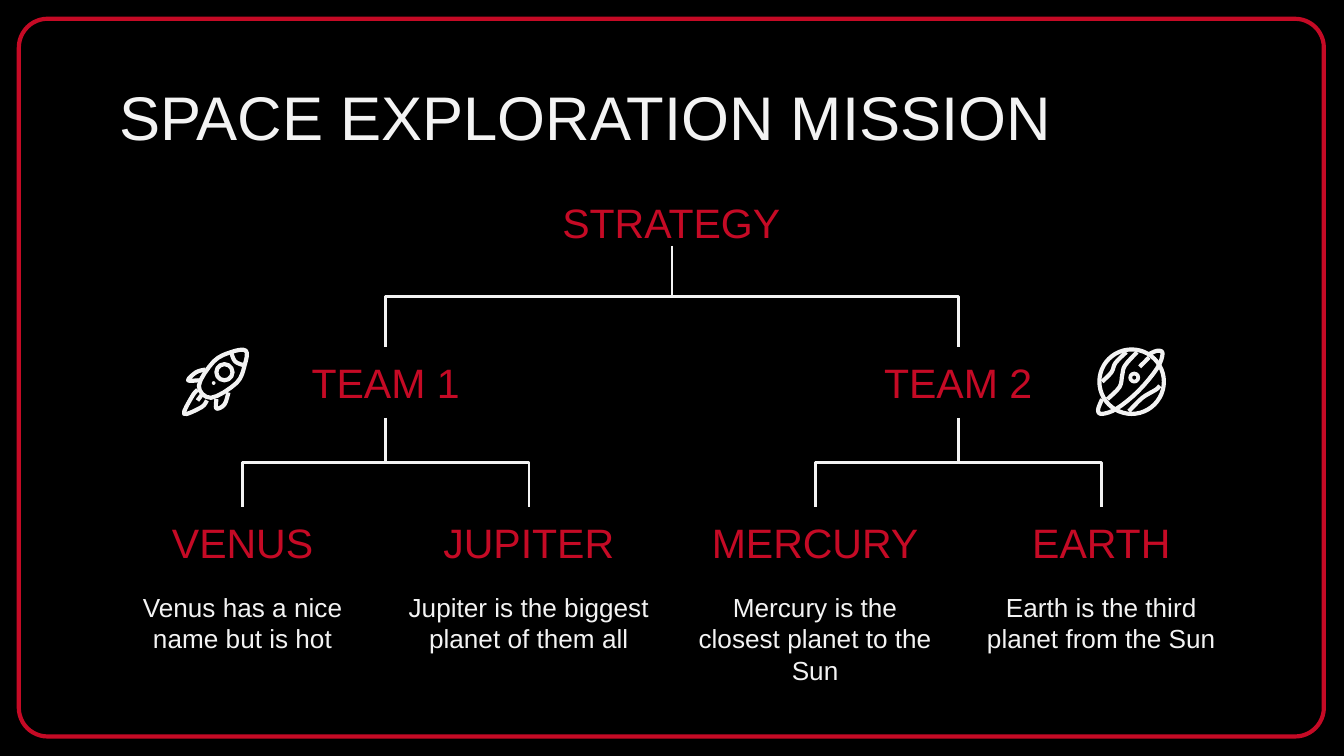
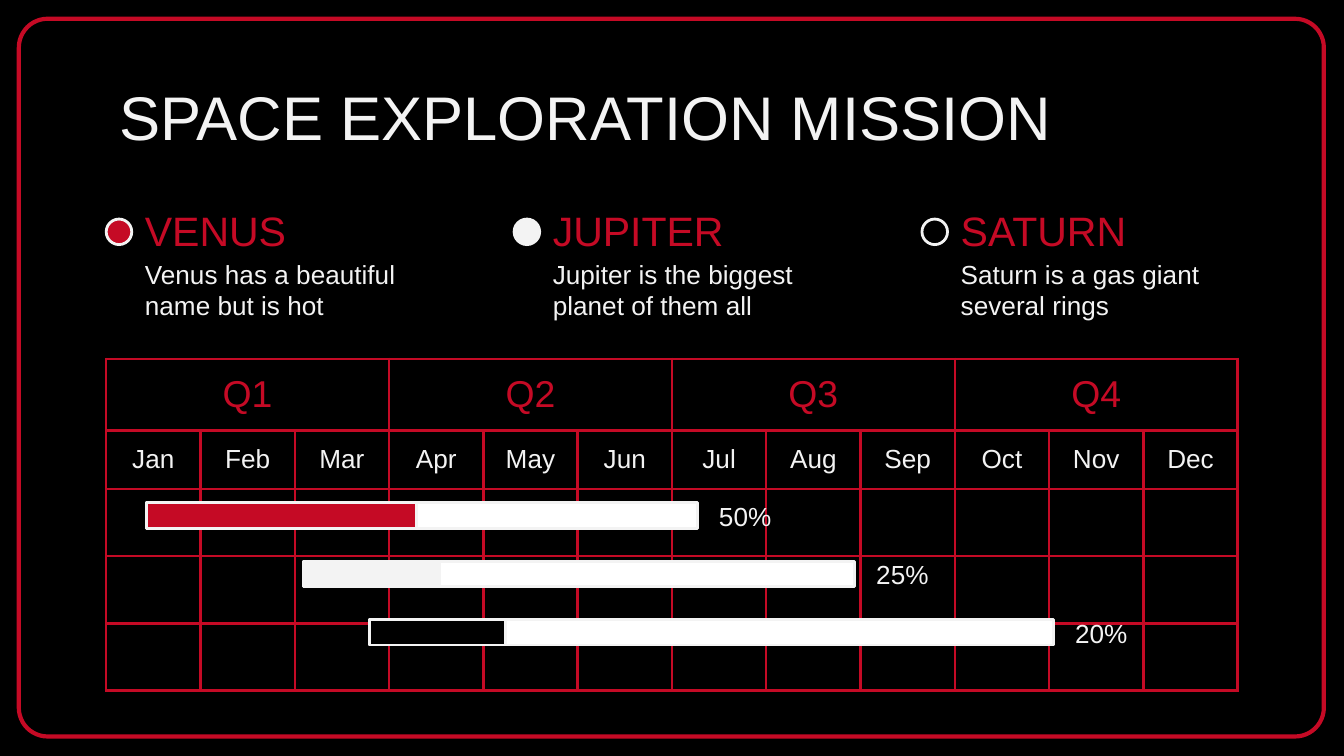
"""Build two slides about a space exploration mission."""
import pptx
import pptx.dml.color
import pptx.enum.shapes
import pptx.enum.text
import pptx.oxml
import pptx.oxml.ns
import pptx.util

Inches = pptx.util.Inches
Pt = pptx.util.Pt
RGBColor = pptx.dml.color.RGBColor
SHAPE = pptx.enum.shapes.MSO_SHAPE
CONNECTOR = pptx.enum.shapes.MSO_CONNECTOR
ALIGN = pptx.enum.text.PP_ALIGN
ANCHOR = pptx.enum.text.MSO_ANCHOR

BLACK = RGBColor(0x00, 0x00, 0x00)
WHITE = RGBColor(0xFF, 0xFF, 0xFF)
LIGHT = RGBColor(0xF3, 0xF3, 0xF3)
RED = RGBColor(0xC5, 0x0A, 0x25)
FONT = "Arial"
TITLE = "SPACE EXPLORATION MISSION"
LEFT = 0.79
HEADING_SIZE = 22
BODY_SIZE = 14
BOX_WIDTH = 2.03
BOX_HEIGHT = 0.53
TEAM_TOP = 2.58
PLANET_TOP = 3.77

PLANETS = [
    ("VENUS", "Venus has a nice name but is hot"),
    ("JUPITER", "Jupiter is the biggest planet of them all"),
    ("MERCURY", "Mercury is the closest planet to the Sun"),
    ("EARTH", "Earth is the third planet from the Sun"),
]
LEGEND = [
    ("VENUS", "Venus has a beautiful name but is hot", RED),
    ("JUPITER", "Jupiter is the biggest planet of them all", LIGHT),
    ("SATURN", "Saturn is a gas giant several rings", BLACK),
]
BARS = [
    (1.09, 4.1, 2.01, RED, "50%"),
    (2.26, 4.1, 1.01, LIGHT, "25%"),
    (2.75, 5.09, 1.01, BLACK, "20%"),
]
MONTHS = ["Jan", "Feb", "Mar", "Apr", "May", "Jun",
          "Jul", "Aug", "Sep", "Oct", "Nov", "Dec"]
ROW_HEIGHTS = [0.36, 0.3, 0.31, 0.31, 0.31]

ROCKET_BODY = [(1.83, 2.61), (1.72, 2.62), (1.59, 2.69), (1.48, 2.87),
               (1.57, 2.96), (1.76, 2.85), (1.82, 2.72)]
ROCKET_CURVES = [
    [(1.72, 2.62), (1.75, 2.69), (1.82, 2.72)],
    [(1.53, 2.75), (1.46, 2.77), (1.4, 2.83), (1.48, 2.83)],
    [(1.61, 2.97), (1.61, 3.04), (1.67, 3.01), (1.7, 2.92)],
    [(1.47, 2.9), (1.43, 2.95), (1.37, 3.08), (1.5, 3.03), (1.54, 2.98)],
    [(1.5, 2.94), (1.47, 2.98)],
]
PLANET_CURVES = [
    [(8.38, 2.62), (8.3, 2.7), (8.27, 2.77), (8.2, 2.84)],
    [(8.46, 2.62), (8.37, 2.72), (8.35, 2.79), (8.33, 2.88), (8.24, 2.97)],
    [(8.55, 2.66), (8.48, 2.73)],
    [(8.63, 2.87), (8.6, 2.9), (8.5, 2.96), (8.4, 3.06)],
    [(8.54, 2.64), (8.61, 2.61), (8.65, 2.63), (8.61, 2.74), (8.47, 2.91),
     (8.31, 3.04), (8.2, 3.08), (8.17, 3.05), (8.2, 2.97)],
]


def format_paragraph(paragraph, size, color, align):
    """Apply alignment and font to a paragraph and its runs."""
    paragraph.alignment = align
    for font in [paragraph.font] + [run.font for run in paragraph.runs]:
        font.name = FONT
        font.size = Pt(size)
        font.color.rgb = color


def add_text(slide, box, text, size, color, align=ALIGN.CENTER, anchor=ANCHOR.MIDDLE):
    """Add a wrapped text box with equal insets."""
    frame = slide.shapes.add_textbox(*map(Inches, box)).text_frame
    frame.word_wrap = True
    frame.vertical_anchor = anchor
    frame.margin_left = frame.margin_right = Inches(0.1)
    frame.margin_top = frame.margin_bottom = Inches(0.1)
    frame.text = text
    format_paragraph(frame.paragraphs[0], size, color, align)


def style_shape(shape, fill, line, width):
    """Set fill and outline, without a shadow."""
    shape.shadow.inherit = False
    if fill is None:
        shape.fill.background()
    else:
        shape.fill.solid()
        shape.fill.fore_color.rgb = fill
    shape.line.color.rgb = line
    shape.line.width = Pt(width)


def add_shape(slide, kind, box, fill, line=LIGHT, width=1.5):
    """Add a preset shape."""
    shape = slide.shapes.add_shape(kind, *map(Inches, box))
    style_shape(shape, fill, line, width)
    return shape


def add_circle(slide, x, y, radius, fill=None, width=1.5):
    """Add a circle around a centre point."""
    box = (x - radius, y - radius, 2 * radius, 2 * radius)
    add_shape(slide, SHAPE.OVAL, box, fill, width=width)


def smooth_points(points, closed):
    """Return points on a Catmull-Rom curve through the given points."""
    count = len(points)

    def pick(index):
        """Wrap or clamp an index into the point list."""
        return points[index % count if closed else min(max(index, 0), count - 1)]

    result = [points[0]]
    for start in range(count if closed else count - 1):
        before, first, second, after = (pick(start + step) for step in (-1, 0, 1, 2))
        for t in (0.25, 0.5, 0.75, 1):
            result.append(tuple(
                0.5 * (2 * b + (c - a) * t + (2 * a - 5 * b + 4 * c - d) * t ** 2
                       + (3 * b - a - 3 * c + d) * t ** 3)
                for a, b, c, d in zip(before, first, second, after)))
    return result


def add_curve(slide, points, closed=False):
    """Draw a smooth outline."""
    first, *rest = [(Inches(x), Inches(y)) for x, y in smooth_points(points, closed)]
    builder = slide.shapes.build_freeform(*first)
    builder.add_line_segments(rest, close=closed)
    style_shape(builder.convert_to_shape(), None, LIGHT, 2.25)


def add_branch(slide, start, end):
    """Add an elbow connector that runs down, across and down."""
    (x1, y1), (x2, y2) = start, end
    middle_x, middle_y = (x1 + x2) / 2, (y1 + y2) / 2
    half_width, half_height = (y2 - y1) / 2, abs(x2 - x1) / 2
    side = -1 if x2 < x1 else 1
    connector = slide.shapes.add_connector(
        CONNECTOR.ELBOW,
        Inches(middle_x + side * half_width), Inches(middle_y - half_height),
        Inches(middle_x - side * half_width), Inches(middle_y + half_height))
    connector.line.color.rgb = LIGHT
    connector.line.width = Pt(1.5)
    properties = connector._element.spPr
    properties.find(pptx.oxml.ns.qn("a:xfrm")).set(
        "rot", str((90 if side < 0 else 270) * 60000))
    properties.append(pptx.oxml.parse_xml(
        f'<a:effectLst {pptx.oxml.ns.nsdecls("a")}/>'))


def add_slide(presentation):
    """Add a slide with the background, frame and title."""
    slide = presentation.slides.add_slide(presentation.slide_layouts[6])
    slide.background.fill.solid()
    slide.background.fill.fore_color.rgb = BLACK
    frame = add_shape(slide, SHAPE.ROUNDED_RECTANGLE, (0.14, 0.14, 9.71, 5.34),
                      None, RED, 2.25)
    frame.adjustments[0] = 0.04
    add_text(slide, (LEFT, 0.49, 8.43, 0.63), TITLE, 33, LIGHT, ALIGN.LEFT, ANCHOR.TOP)
    return slide


def add_icons(slide):
    """Draw the rocket and the ringed planet beside the teams."""
    add_curve(slide, ROCKET_BODY, closed=True)
    for points in ROCKET_CURVES + PLANET_CURVES:
        add_curve(slide, points)
    add_circle(slide, 1.67, 2.77, 0.06, width=2.25)
    add_circle(slide, 1.59, 2.85, 0.01, LIGHT, 0.5)
    add_circle(slide, 8.42, 2.84, 0.24, width=2.25)
    add_circle(slide, 8.44, 2.81, 0.03, width=2)


def build_structure(presentation):
    """Build the slide with the team tree."""
    slide = add_slide(presentation)
    planet_lefts = [LEFT + 2.13 * index for index in range(len(PLANETS))]
    planet_centers = [left + BOX_WIDTH / 2 for left in planet_lefts]
    team_centers = [sum(planet_centers[i:i + 2]) / 2 for i in (0, 2)]
    for team, center in enumerate(team_centers):
        add_branch(slide, (5, 1.83), (center, TEAM_TOP))
        for child in planet_centers[2 * team:2 * team + 2]:
            add_branch(slide, (center, TEAM_TOP + BOX_HEIGHT), (child, PLANET_TOP))
        add_text(slide, (center - BOX_WIDTH / 2, TEAM_TOP, BOX_WIDTH, BOX_HEIGHT),
                 f"TEAM {team + 1}", HEADING_SIZE, RED)
    add_text(slide, (3.31, 1.47, 3.37, 0.36), "STRATEGY", HEADING_SIZE, RED)
    for left, (name, description) in zip(planet_lefts, PLANETS):
        add_text(slide, (left, PLANET_TOP, BOX_WIDTH, BOX_HEIGHT), name, HEADING_SIZE, RED)
        add_text(slide, (left, 4.3, BOX_WIDTH, 0.61), description, BODY_SIZE, LIGHT,
                 anchor=ANCHOR.TOP)
    add_icons(slide)


def style_cell(cell):
    """Give a table cell red borders, no fill and equal insets."""
    cell.margin_left = cell.margin_right = Inches(0.1)
    cell.margin_top = cell.margin_bottom = Inches(0.1)
    cell.vertical_anchor = ANCHOR.MIDDLE
    properties = cell._tc.get_or_add_tcPr()
    for edge in ("lnL", "lnR", "lnT", "lnB"):
        properties.append(pptx.oxml.parse_xml(
            f'<a:{edge} {pptx.oxml.ns.nsdecls("a")} w="{Pt(1.5)}"><a:solidFill>'
            f'<a:srgbClr val="{RED}"/></a:solidFill></a:{edge}>'))
    cell.fill.background()


def add_calendar(slide):
    """Add the table of quarters and months."""
    holder = slide.shapes.add_table(
        len(ROW_HEIGHTS), len(MONTHS), Inches(LEFT), Inches(2.67),
        Inches(8.42), Inches(sum(ROW_HEIGHTS)))
    table = holder.table
    table.first_row = table.horz_banding = False
    for row, height in zip(table.rows, ROW_HEIGHTS):
        row.height = Inches(height)
        for cell in row.cells:
            style_cell(cell)
    for index, month in enumerate(MONTHS):
        cell = table.cell(1, index)
        cell.text = month
        format_paragraph(cell.text_frame.paragraphs[0], BODY_SIZE, LIGHT, ALIGN.CENTER)
    for quarter in range(4):
        cell = table.cell(0, 3 * quarter)
        cell.merge(table.cell(0, 3 * quarter + 2))
        cell.text = f"Q{quarter + 1}"
        format_paragraph(cell.text_frame.paragraphs[0], 20, RED, ALIGN.CENTER)
    holder.width = holder.height = Inches(3.28)


def build_schedule(presentation):
    """Build the slide with the yearly schedule."""
    slide = add_slide(presentation)
    add_calendar(slide)
    for index, (left, width, done, color, label) in enumerate(BARS):
        top = 3.74 + 0.435 * index
        add_shape(slide, SHAPE.RECTANGLE, (left, top, width, 0.19), WHITE)
        add_shape(slide, SHAPE.RECTANGLE, (left, top, done, 0.19), color)
        add_text(slide, (left + width - 0.01, top - 0.03, 0.73, 0.26), label,
                 BODY_SIZE, LIGHT)
    for index, (name, description, color) in enumerate(LEGEND):
        left = LEFT + 3.035 * index
        add_shape(slide, SHAPE.OVAL, (left, 1.63, 0.19, 0.19), color)
        add_text(slide, (left + 0.19, 1.55, 2.16, 0.33), name, HEADING_SIZE, RED, ALIGN.LEFT)
        add_text(slide, (left + 0.19, 1.82, 2.16, 0.51), description, BODY_SIZE, LIGHT,
                 ALIGN.LEFT, ANCHOR.TOP)


def main():
    """Create and save the presentation."""
    presentation = pptx.Presentation()
    presentation.slide_width = Inches(10)
    presentation.slide_height = Inches(10 * 9 / 16)
    build_structure(presentation)
    build_schedule(presentation)
    presentation.save("out.pptx")


if __name__ == "__main__":
    main()
